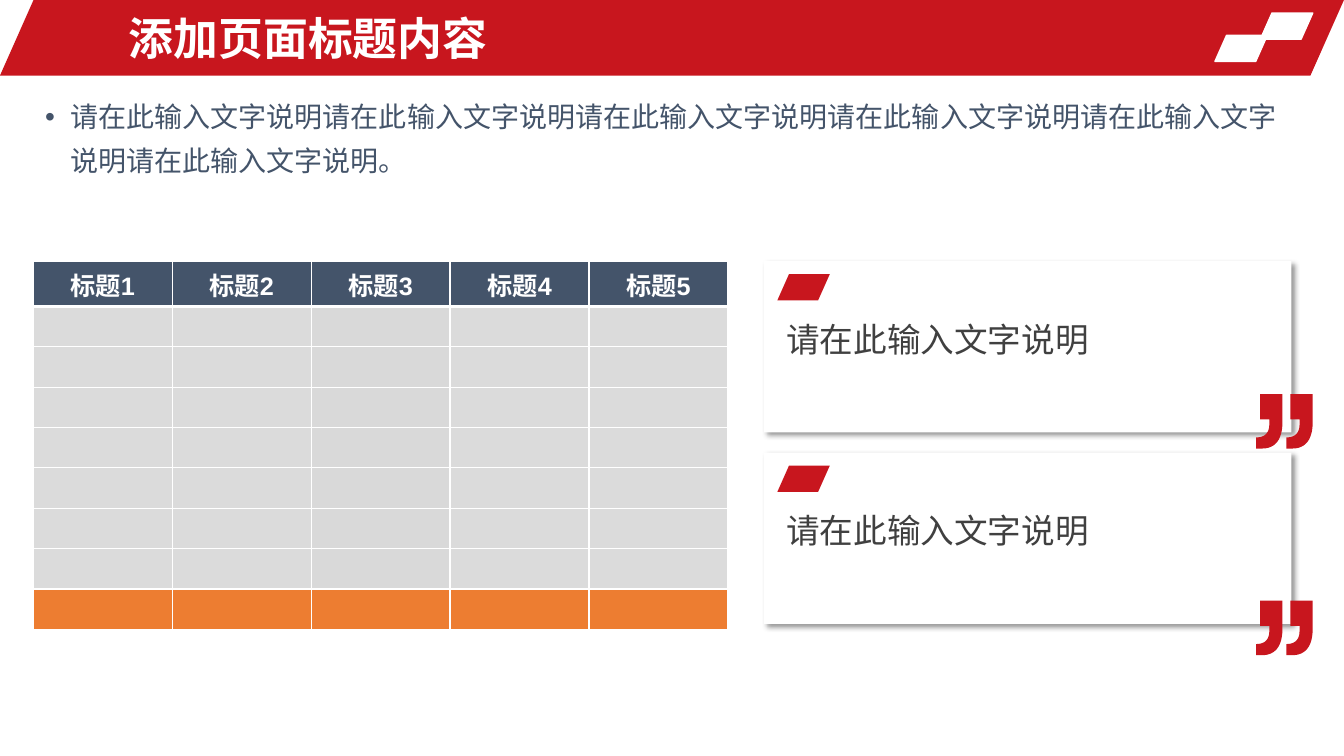
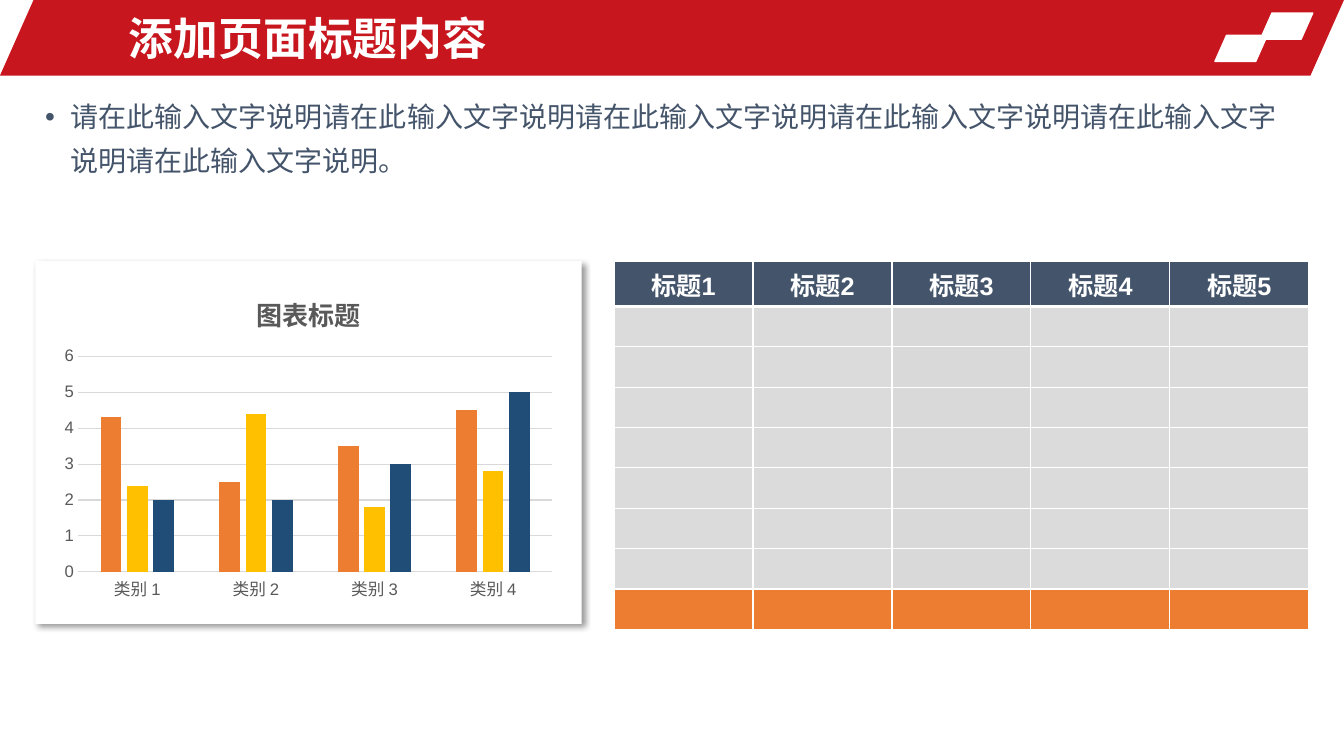
from lxml.etree import SubElement
from pptx import Presentation
from pptx.chart.data import CategoryChartData
from pptx.dml.color import RGBColor
from pptx.enum.chart import XL_CHART_TYPE, XL_TICK_MARK
from pptx.enum.shapes import MSO_SHAPE
from pptx.enum.text import MSO_ANCHOR, PP_ALIGN
from pptx.oxml.ns import qn
from pptx.util import Inches, Pt

COLORS = {
    "red": "C8161E",
    "white": "FFFFFF",
    "slate": "44546A",
    "text": "404040",
    "chart_text": "595959",
    "rule": "D9D9D9",
    "cell": "DBDBDB",
    "middle_cell": "D9D9D9",
    "orange": "ED7D31",
    "yellow": "FFC000",
    "navy": "1F4D78",
    "shadow": "000000",
}
FONT = "Arial"
SLIDE_WIDTH, SLIDE_HEIGHT = 13.33, 7.5
BAND_HEIGHT = 0.75
SLANT = 0.444
SLANT_SIZE = (0.52, 0.26)
CONTENT_TOP, CONTENT_HEIGHT = 2.59, 3.6
TABLE_WIDTH = 6.89
HEADER_ROW = 0.45
PAGE_TITLE = "添加页面标题内容"
PROMPT = "请在此输入文字说明"
INTRO = PROMPT * 6 + "。"


def rgb(name):
    return RGBColor.from_string(COLORS[name])


def inches(*lengths):
    return [Inches(length) for length in lengths]


def set_font(font, size, color, bold=False):
    font.name, font.size, font.bold = FONT, Pt(size), bold
    font.color.rgb = rgb(color)


def write(frame, text, size, color, bold=False, align=None, spacing=None,
          bullet=False):
    paragraph = frame.paragraphs[0]
    if bullet:
        properties = paragraph._p.get_or_add_pPr()
        properties.set("marL", str(Inches(0.25)))
        properties.set("indent", str(Inches(-0.25)))
        SubElement(properties, qn("a:buFont"), typeface=FONT)
        SubElement(properties, qn("a:buChar"), char="•")
    paragraph.alignment = align
    paragraph.line_spacing = spacing
    run = paragraph.add_run()
    run.text = text
    set_font(run.font, size, color, bold)


def add_text(slide, box, text, anchor=MSO_ANCHOR.TOP, **text_format):
    frame = slide.shapes.add_textbox(*inches(*box)).text_frame
    frame.word_wrap = True
    frame.vertical_anchor = anchor
    write(frame, text, **text_format)


def paint(shape, fill, line=None):
    shape.shadow.inherit = False
    shape.fill.solid()
    shape.fill.fore_color.rgb = rgb(fill)
    if line:
        shape.line.color.rgb = rgb(line)
        shape.line.width = Pt(1)
    else:
        shape.line.fill.background()


def add_slant(slide, box, fill, line=None):
    slant = slide.shapes.add_shape(MSO_SHAPE.PARALLELOGRAM, *inches(*box))
    slant.adjustments[0] = SLANT
    paint(slant, fill, line)


def add_panel(slide, box):
    """White rectangle with a soft shadow to the lower right."""
    panel = slide.shapes.add_shape(MSO_SHAPE.RECTANGLE, *inches(*box))
    paint(panel, "white")
    effects = panel._element.spPr.find(qn("a:effectLst"))
    shadow = SubElement(effects, qn("a:outerShdw"), blurRad=str(Pt(4)),
                        dist=str(Pt(3)), dir=str(45 * 60000), algn="tl",
                        rotWithShape="0")
    color = SubElement(shadow, qn("a:srgbClr"), val=COLORS["shadow"])
    SubElement(color, qn("a:alpha"), val="40000")


def curve(start, control_1, control_2, end, steps=12):
    """Points along a cubic curve, without its start."""
    points = []
    for step in range(1, steps + 1):
        t = step / steps
        weights = ((1 - t) ** 3, 3 * t * (1 - t) ** 2, 3 * t * t * (1 - t), t ** 3)
        corners = (start, control_1, control_2, end)
        points.append(tuple(sum(w * corner[axis] for w, corner in zip(weights, corners))
                            for axis in (0, 1)))
    return points


def add_closing_quote(slide, left, top):
    mark = [(0.04, 0), (0.26, 0), (0.26, 0.28)]
    mark += curve(mark[-1], (0.26, 0.45), (0.19, 0.54), (0.06, 0.54))
    mark += [(0, 0.54), (0, 0.43)]
    mark += curve(mark[-1], (0.09, 0.43), (0.13, 0.38), (0.13, 0.3))
    mark += [(0.13, 0.25), (0.04, 0.25)]
    first, second = ([inches(left + shift + x, top + y) for x, y in mark]
                     for shift in (0, 0.3))
    builder = slide.shapes.build_freeform(*first[0])
    builder.add_line_segments(first[1:], close=True)
    builder.move_to(*second[0])
    builder.add_line_segments(second[1:], close=True)
    paint(builder.convert_to_shape(), "red")


def add_quote_card(slide, box, quote_drop):
    """Panel with a slanted tag, a text and a quote mark over its lower right."""
    left, top, width, _ = box
    add_panel(slide, box)
    add_closing_quote(slide, left + width - 0.35, top + quote_drop)
    add_slant(slide, (left + 0.13, top + 0.13, *SLANT_SIZE), "red")
    add_text(slide, (left + 0.12, top + 0.4, 5.33, 0.57), PROMPT,
             size=24, color="text", spacing=1.3)


def set_border(cell, **widths):
    properties = cell._tc.get_or_add_tcPr()
    for position, (side, width) in enumerate(widths.items()):
        line = properties.makeelement(qn(f"a:{side}"), {"w": str(Pt(width))})
        fill = SubElement(line, qn("a:solidFill"))
        SubElement(fill, qn("a:srgbClr"), val=COLORS["white"])
        properties.insert(position, line)


def add_grid(slide, box, columns=5, rows=9):
    """Table with a header row, empty body rows and an orange last row."""
    height = box[3]
    table = slide.shapes.add_table(rows, columns, *inches(*box)).table
    for column in table.columns:
        column.width = Inches(box[2] / columns)
    for number, row in enumerate(table.rows):
        row.height = Inches((height - HEADER_ROW) / (rows - 1) if number else HEADER_ROW)
        for index, cell in enumerate(row.cells):
            if number == 0:
                fill = "slate"
                write(cell.text_frame, f"标题{index + 1}", size=18, color="white",
                      bold=True, align=PP_ALIGN.CENTER)
            elif number == rows - 1:
                fill = "orange"
            else:
                fill = "middle_cell" if index == columns // 2 else "cell"
            cell.fill.solid()
            cell.fill.fore_color.rgb = rgb(fill)
            set_border(cell, lnL=1, lnR=1, lnT=3 if number == 1 else 1,
                       lnB=1 if number else 3)


def add_column_chart(slide, box):
    data = CategoryChartData()
    data.categories = [f"类别 {number}" for number in range(1, 5)]
    data.add_series("Series 1", (4.3, 2.5, 3.5, 4.5))
    data.add_series("Series 2", (2.4, 4.4, 1.8, 2.8))
    data.add_series("Series 3", (2, 2, 3, 5))
    chart = slide.shapes.add_chart(XL_CHART_TYPE.COLUMN_CLUSTERED, *inches(*box),
                                   data).chart
    set_font(chart.font, 10, "shadow")
    chart.has_legend = False
    chart.has_title = True
    write(chart.chart_title.text_frame, "图表标题", size=18.6, color="chart_text",
          bold=True)
    chart.chart_title.include_in_layout = False

    plot = chart.plots[0]
    plot.gap_width, plot.overlap, plot.vary_by_categories = 219, -27, False
    for series, color in zip(plot.series, ("orange", "yellow", "navy")):
        series.format.fill.solid()
        series.format.fill.fore_color.rgb = rgb(color)

    categories, values = chart.category_axis, chart.value_axis
    for axis in (categories, values):
        axis.major_tick_mark = axis.minor_tick_mark = XL_TICK_MARK.NONE
        set_font(axis.tick_labels.font, 11.9, "chart_text")
    values.minimum_scale, values.maximum_scale, values.major_unit = 0, 6, 1
    values.format.line.fill.background()
    for rule in (categories.format.line, values.major_gridlines.format.line):
        rule.color.rgb = rgb("rule")
        rule.width = Pt(0.75)


def add_chart_panel(slide, box):
    left, top, width, height = box
    add_panel(slide, box)
    add_column_chart(slide, (left + 0.19, top + 0.14, width - 0.38, height - 0.3))


def add_page(deck):
    """New slide with the title band and the introduction."""
    slide = deck.slides.add_slide(deck.slide_layouts[6])
    add_slant(slide, (0, 0, SLIDE_WIDTH, BAND_HEIGHT), "red")
    for left, top in ((12.5, 0.13), (12.05, 0.35)):
        add_slant(slide, (left, top, *SLANT_SIZE), "white", line="white")
    add_text(slide, (1.18, 0.05, 7.74, 0.65), PAGE_TITLE, anchor=MSO_ANCHOR.MIDDLE,
             size=32, color="white", bold=True)
    add_text(slide, (0.35, 0.84, 12.65, 5.21), INTRO, size=20, color="slate",
             spacing=1.3, bullet=True)
    return slide


def add_table_and_cards_page(deck):
    slide = add_page(deck)
    add_grid(slide, (0.33, CONTENT_TOP, TABLE_WIDTH, CONTENT_HEIGHT))
    gap = 0.2
    card_height = (CONTENT_HEIGHT - gap) / 2
    for number, quote_drop in enumerate((1.32, 1.47)):
        top = CONTENT_TOP + number * (card_height + gap)
        add_quote_card(slide, (7.58, top, 5.23, card_height), quote_drop)


def add_chart_and_table_page(deck):
    slide = add_page(deck)
    add_grid(slide, (6.09, CONTENT_TOP, TABLE_WIDTH, CONTENT_HEIGHT))
    add_chart_panel(slide, (0.35, CONTENT_TOP, 5.42, CONTENT_HEIGHT))


def main():
    deck = Presentation()
    deck.slide_width, deck.slide_height = inches(SLIDE_WIDTH, SLIDE_HEIGHT)
    add_table_and_cards_page(deck)
    add_chart_and_table_page(deck)
    deck.save("out.pptx")


if __name__ == "__main__":
    main()
